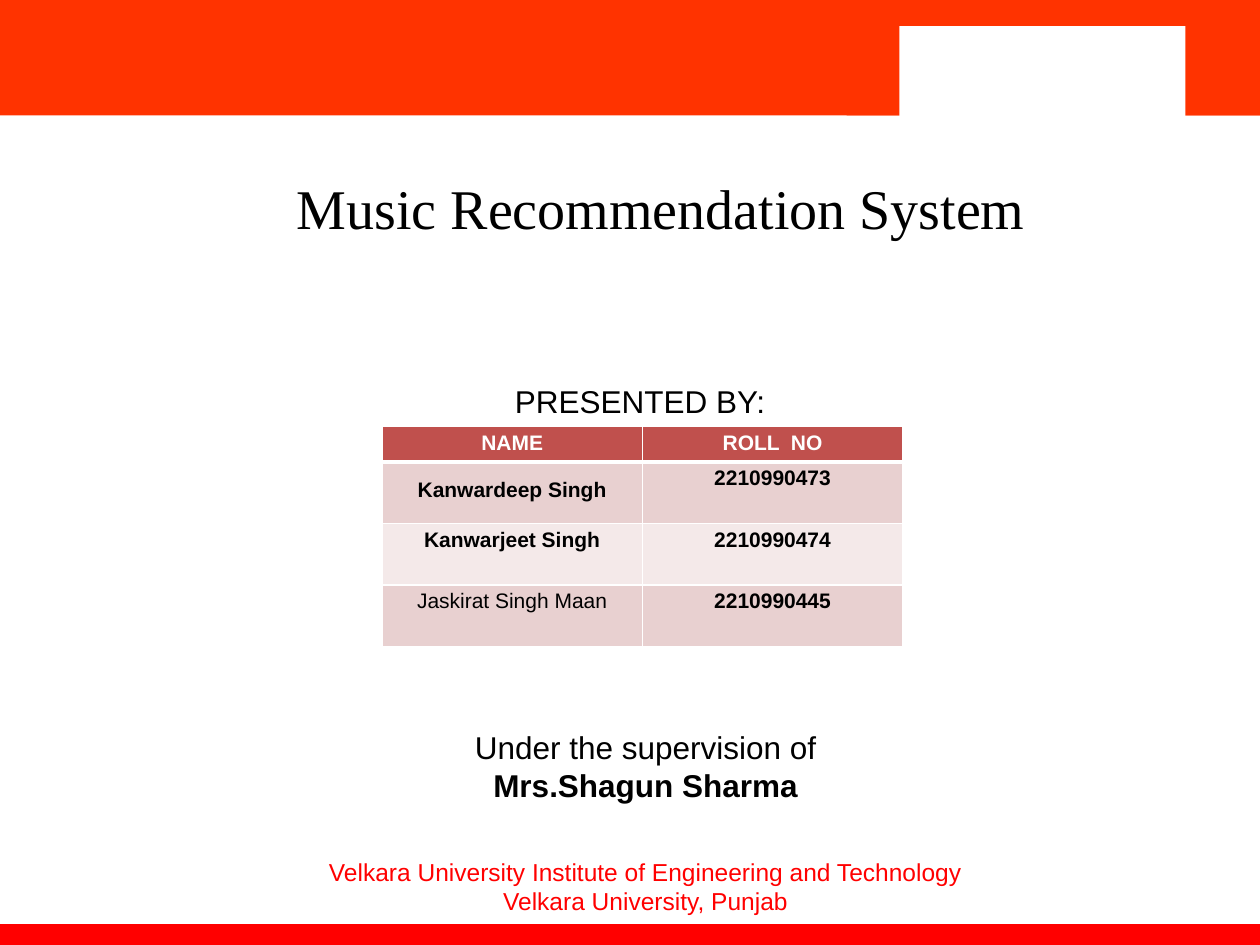
"""Build the cover slide of the Music Recommendation System project."""
from lxml import etree
from pptx import Presentation
from pptx.dml.color import RGBColor
from pptx.enum.shapes import MSO_SHAPE
from pptx.enum.text import MSO_ANCHOR, PP_ALIGN
from pptx.oxml.ns import qn
from pptx.util import Cm, Pt

RECTANGLE = MSO_SHAPE.RECTANGLE
CENTER = PP_ALIGN.CENTER
TOP = MSO_ANCHOR.TOP
BLACK = RGBColor(0x00, 0x00, 0x00)
WHITE = RGBColor(0xFF, 0xFF, 0xFF)
ORANGE = RGBColor(0xFF, 0x33, 0x00)
RED = RGBColor(0xFF, 0x00, 0x00)
BRICK = RGBColor(0xC0, 0x50, 0x4D)
ROSE = RGBColor(0xE8, 0xD0, 0xD0)
PALE_ROSE = RGBColor(0xF4, 0xE9, 0xE9)


def write(paragraph, wording, color, line_spacing=None, **font_format):
    paragraph.alignment = CENTER
    paragraph.line_spacing = line_spacing
    run = paragraph.add_run()
    run.text = wording
    run.font.color.rgb = color
    for attribute, value in {"name": "Arial", **font_format}.items():
        setattr(run.font, attribute, value)


def add_border(cell, side, width):
    line = etree.SubElement(cell._tc.get_or_add_tcPr(), qn(f"a:{side}"), w=str(Pt(width)))
    fill = etree.SubElement(line, qn("a:solidFill"))
    etree.SubElement(fill, qn("a:srgbClr"), val=str(WHITE))


prs = Presentation()
prs.slide_width, prs.slide_height = Cm(25.4), Cm(19.05)
slide = prs.slides.add_slide(prs.slide_layouts[5])

bands = [
    (0, 0, 25.4, 2.33, ORANGE),
    (0, 18.63, 25.4, 0.42, RED),
    (17.07, 0, 8.33, 2.33, ORANGE),
    (18.13, 0.53, 5.77, 1.9, WHITE),
]
for left, top, width, height, color in bands:
    band = slide.shapes.add_shape(RECTANGLE, Cm(left), Cm(top), Cm(width), Cm(height))
    band.shadow.inherit = False
    band.fill.solid()
    band.fill.fore_color.rgb = color
    band.line.fill.background()

title = slide.shapes.title
title_place = {"left": Cm(1.9), "top": Cm(3.38), "width": Cm(22.86), "height": Cm(2.34)}
for attribute, value in title_place.items():
    setattr(title, attribute, value)
title.text_frame.vertical_anchor = TOP
heading = title.text_frame.paragraphs[0]
heading.space_before = Pt(4)
write(heading, "Music Recommendation System", BLACK, name="Times New Roman", size=Pt(32))

students = [
    ("NAME", "ROLL  NO"),
    ("Kanwardeep Singh", "2210990473"),
    ("Kanwarjeet Singh", "2210990474"),
    ("Jaskirat Singh Maan", "2210990445"),
]
row_heights = [0.71, 1.24, 1.24, 1.24]
row_fills = [BRICK, ROSE, PALE_ROSE, ROSE]
roster = slide.shapes.add_table(
    len(students), 2, Cm(7.7), Cm(8.6), Cm(10.5), Cm(sum(row_heights))
).table
for column in roster.columns:
    column.width = Cm(5.25)
cell_format = {
    "margin_top": Cm(0.1),
    "margin_bottom": Cm(0.1),
    "vertical_anchor": TOP,
}
for r, (student, height, row_fill) in enumerate(zip(students, row_heights, row_fills)):
    roster.rows[r].height = Cm(height)
    for c, entry in enumerate(student):
        cell = roster.cell(r, c)
        for attribute, value in cell_format.items():
            setattr(cell, attribute, value)
        for side in ("lnL", "lnR", "lnT", "lnB"):
            header_rule = (r, side) in ((0, "lnB"), (1, "lnT"))
            add_border(cell, side, 3 if header_rule else 1)
        cell.fill.solid()
        cell.fill.fore_color.rgb = row_fill
        write(
            cell.text_frame.paragraphs[0],
            entry,
            BLACK if r else WHITE,
            line_spacing=1.5 if (r, c) == (1, 0) else None,
            size=Pt(12),
            bold=(r, c) != (3, 0),
        )

captions = [
    (6.53, 7.19, 12.75, 1.27, 18, BLACK, 1.5, [("PRESENTED BY:", False)]),
    (1.9, 14.55, 22.23, 1.8, 18, BLACK, None,
     [("Under the supervision of", False), ("Mrs.Shagun Sharma", True)]),
    (1.9, 17.15, 22.23, 1.45, 14, RED, None,
     [("Velkara University Institute of Engineering and Technology", False),
      ("Velkara University, Punjab", False)]),
]
for left, top, width, height, size, color, spacing, lines in captions:
    frame = slide.shapes.add_textbox(Cm(left), Cm(top), Cm(width), Cm(height)).text_frame
    frame.word_wrap = True
    for i, (wording, bold) in enumerate(lines):
        paragraph = frame.add_paragraph() if i else frame.paragraphs[0]
        write(paragraph, wording, color, spacing, size=Pt(size), bold=bold)

prs.save("out.pptx")
